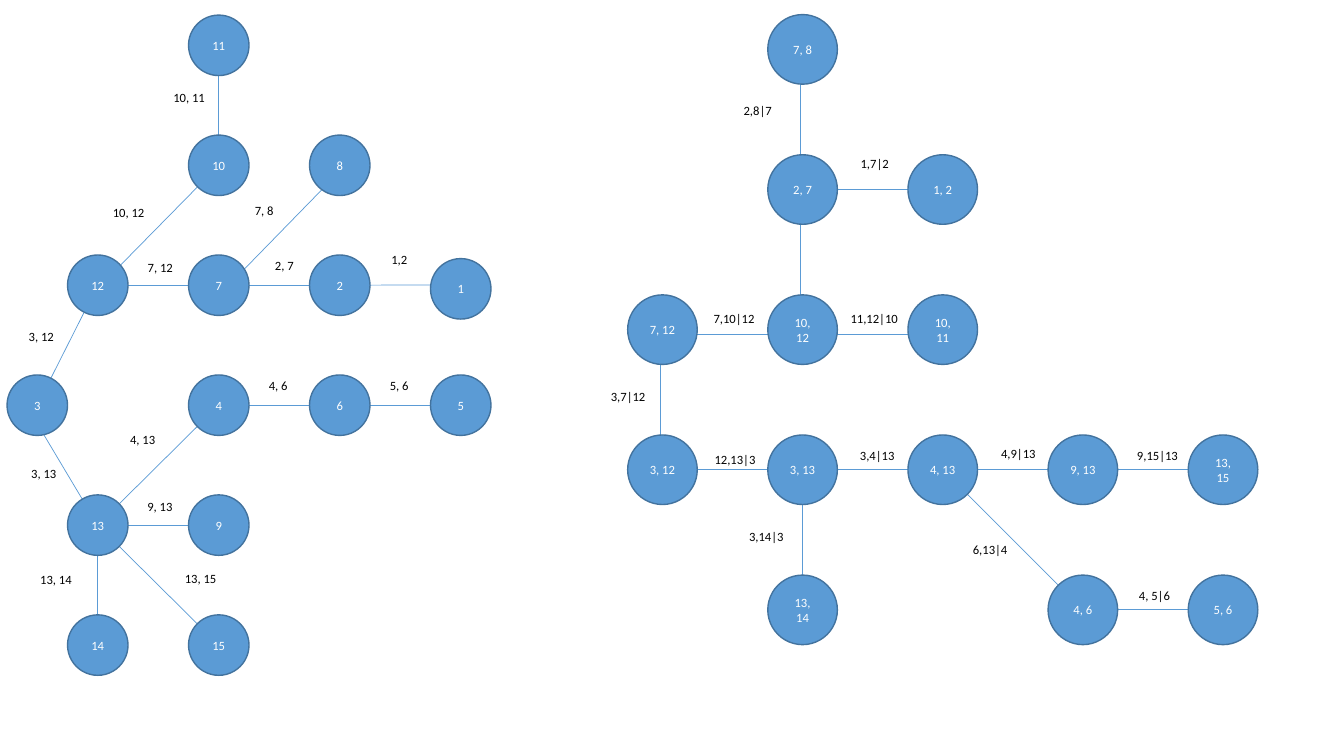
"""Build a slide with a labelled tree and the tree derived from its edges."""
from dataclasses import dataclass

from lxml.etree import SubElement
from pptx import Presentation
from pptx.dml.color import RGBColor
from pptx.enum.shapes import MSO_CONNECTOR as CONNECTOR, MSO_SHAPE as SHAPE
from pptx.enum.text import MSO_ANCHOR as ANCHOR, MSO_AUTO_SIZE as AUTO_SIZE, PP_ALIGN as ALIGN
from pptx.oxml.ns import qn
from pptx.util import Inches, Pt


@dataclass(frozen=True)
class Theme:
    """Colours, font and sizes shared by both trees."""
    node_fill: RGBColor = RGBColor(0x5B, 0x9B, 0xD5)
    node_outline: RGBColor = RGBColor(0x43, 0x73, 0x9E)
    node_text: RGBColor = RGBColor(0xFF, 0xFF, 0xFF)
    label_text: RGBColor = RGBColor(0, 0, 0)
    font: str = "Calibri"
    text_size: Pt = Pt(9)
    outline_width: Pt = Pt(1)
    edge_width: Pt = Pt(0.5)


THEME = Theme()
LABEL_HEIGHT = 0.23


@dataclass(frozen=True)
class Grid:
    """Centre of the first node, the pitch between nodes and their diameter."""
    left: float
    top: float
    column_pitch: float
    row_pitch: float
    diameter: float

    def centre(self, cell):
        """Return the centre of a (column, row) cell."""
        column, row = cell
        return self.left + column * self.column_pitch, self.top + row * self.row_pitch


@dataclass(frozen=True)
class Edge:
    """Two joined nodes, with offsets of the line's ends from their centres."""
    start: str
    end: str
    start_shift: tuple = (0, 0)
    end_shift: tuple = (0, 0)


VERTEX_GRID = Grid(0.97, 0.45, 1.2, 1.19, 0.6)
VERTEX_CELLS = {
    "11": (1, 0), "10": (1, 1), "8": (2, 1),
    "12": (0, 2), "7": (1, 2), "2": (2, 2), "1": (3, 2.03),
    "3": (-0.5, 3), "4": (1, 3), "6": (2, 3), "5": (3, 3),
    "13": (0, 4), "9": (1, 4), "14": (0, 5), "15": (1, 5),
}
VERTEX_EDGES = [
    Edge("3", "12"), Edge("3", "13", (-0.11, 0)), Edge("13", "14"),
    Edge("13", "15"), Edge("13", "9"), Edge("13", "4"), Edge("12", "7"),
    Edge("4", "6"), Edge("6", "5"), Edge("7", "2"),
    Edge("2", "1", end_shift=(0, -0.04)), Edge("12", "10", (0, 0.03)),
    Edge("7", "8", (0, 0.1), (0, 0.06)), Edge("11", "10"),
]
VERTEX_LABELS = [
    ("1,2", 3.66, 2.45, 0.6), ("5, 6", 3.66, 3.7, 0.6), ("4, 6", 2.46, 3.7, 0.6),
    ("2, 7", 2.52, 2.51, 0.6), ("7, 8", 2.32, 1.96, 0.6), ("10, 11", 1.49, 0.84, 0.77),
    ("10, 12", 0.89, 1.98, 0.77), ("7, 12", 1.25, 2.53, 0.68), ("3, 12", 0.09, 3.21, 0.64),
    ("3, 13", 0.05, 4.57, 0.77), ("4, 13", 1.03, 4.24, 0.77), ("9, 13", 1.19, 4.9, 0.79),
    ("13, 14", 0.1, 5.62, 0.91), ("13, 15", 1.52, 5.61, 0.94),
]

PAIR_GRID = Grid(6.57, 0.49, 1.39, 1.39, 0.69)
PAIR_CELLS = {
    "7, 8": (1, 0), "2, 7": (1, 1), "1, 2": (2, 1),
    "7, 12": (0, 2), "10, 12": (1, 2), "10, 11": (2, 2),
    "3, 12": (0, 3), "3, 13": (1, 3), "4, 13": (2, 3), "9, 13": (3, 3), "13, 15": (4, 3),
    "13, 14": (1, 4), "4, 6": (3, 4), "5, 6": (4, 4),
}
LEFTWARD, DOWNWARD = (-0.02, 0), (0, 0.05)
PAIR_EDGES = [
    Edge("7, 12", "3, 12", LEFTWARD, LEFTWARD), Edge("7, 12", "10, 12", DOWNWARD, DOWNWARD),
    Edge("10, 12", "10, 11", DOWNWARD, DOWNWARD), Edge("2, 7", "10, 12", LEFTWARD, LEFTWARD),
    Edge("7, 8", "2, 7", LEFTWARD, LEFTWARD), Edge("2, 7", "1, 2"),
    Edge("3, 12", "3, 13"), Edge("3, 13", "4, 13"), Edge("4, 13", "9, 13"),
    Edge("9, 13", "13, 15"), Edge("4, 13", "4, 6"), Edge("4, 6", "5, 6"),
    Edge("3, 13", "13, 14"),
]
PAIR_LABELS = [
    ("2,8|7", 7.13, 0.97, 0.77), ("1,7|2", 8.29, 1.5, 0.77), ("7,10|12", 6.75, 3.04, 1.06),
    ("3,7|12", 5.7, 3.81, 1.06), ("11,12|10", 8.14, 3.04, 1.06), ("12,13|3", 6.76, 4.43, 1.06),
    ("3,14|3", 7.07, 5.2, 1.06), ("3,4|13", 8.17, 4.39, 1.06), ("4,9|13", 9.57, 4.37, 1.06),
    ("6,13|4", 9.29, 5.33, 1.06), ("9,15|13", 10.95, 4.39, 1.06), ("4, 5|6", 10.92, 5.78, 1.06),
]


def write_centred(frame, text, colour):
    """Write one centred run into a wrapping text frame."""
    frame.word_wrap = True
    paragraph = frame.paragraphs[0]
    paragraph.alignment = ALIGN.CENTER
    run = paragraph.add_run()
    run.text = text
    run.font.name = THEME.font
    run.font.size = THEME.text_size
    run.font.color.rgb = colour


def add_edge(shapes, grid, cells, edge):
    """Draw the line between two nodes."""
    ends = []
    for name, shift in ((edge.start, edge.start_shift), (edge.end, edge.end_shift)):
        ends += [Inches(place + offset) for place, offset in zip(grid.centre(cells[name]), shift)]
    line = shapes.add_connector(CONNECTOR.STRAIGHT, *ends)
    line.line.color.rgb = THEME.node_fill
    line.line.width = THEME.edge_width
    SubElement(line._element.spPr, qn("a:effectLst"))


def add_node(shapes, grid, name, cell):
    """Draw a named circle centred on its grid cell."""
    x, y = grid.centre(cell)
    radius = grid.diameter / 2
    circle = shapes.add_shape(SHAPE.OVAL, Inches(x - radius), Inches(y - radius),
                              Inches(grid.diameter), Inches(grid.diameter))
    circle.shadow.inherit = False
    circle.fill.solid()
    circle.fill.fore_color.rgb = THEME.node_fill
    circle.line.color.rgb = THEME.node_outline
    circle.line.width = THEME.outline_width
    circle.text_frame.vertical_anchor = ANCHOR.MIDDLE
    write_centred(circle.text_frame, name, THEME.node_text)


def add_label(shapes, text, left, top, width):
    """Place the text beside an edge."""
    label = shapes.add_textbox(Inches(left), Inches(top), Inches(width), Inches(LABEL_HEIGHT))
    label.text_frame.auto_size = AUTO_SIZE.SHAPE_TO_FIT_TEXT
    write_centred(label.text_frame, text, THEME.label_text)


def add_tree(slide, grid, cells, edges, labels):
    """Group a tree's edges, nodes and labels, from back to front."""
    shapes = slide.shapes.add_group_shape().shapes
    for edge in edges:
        add_edge(shapes, grid, cells, edge)
    for name, cell in cells.items():
        add_node(shapes, grid, name, cell)
    for label in labels:
        add_label(shapes, *label)


def main():
    """Build and save the slide."""
    deck = Presentation()
    deck.slide_width, deck.slide_height = Inches(13.33), Inches(7.5)
    slide = deck.slides.add_slide(deck.slide_layouts[6])
    add_tree(slide, PAIR_GRID, PAIR_CELLS, PAIR_EDGES, PAIR_LABELS)
    add_tree(slide, VERTEX_GRID, VERTEX_CELLS, VERTEX_EDGES, VERTEX_LABELS)
    deck.save("out.pptx")


if __name__ == "__main__":
    main()
